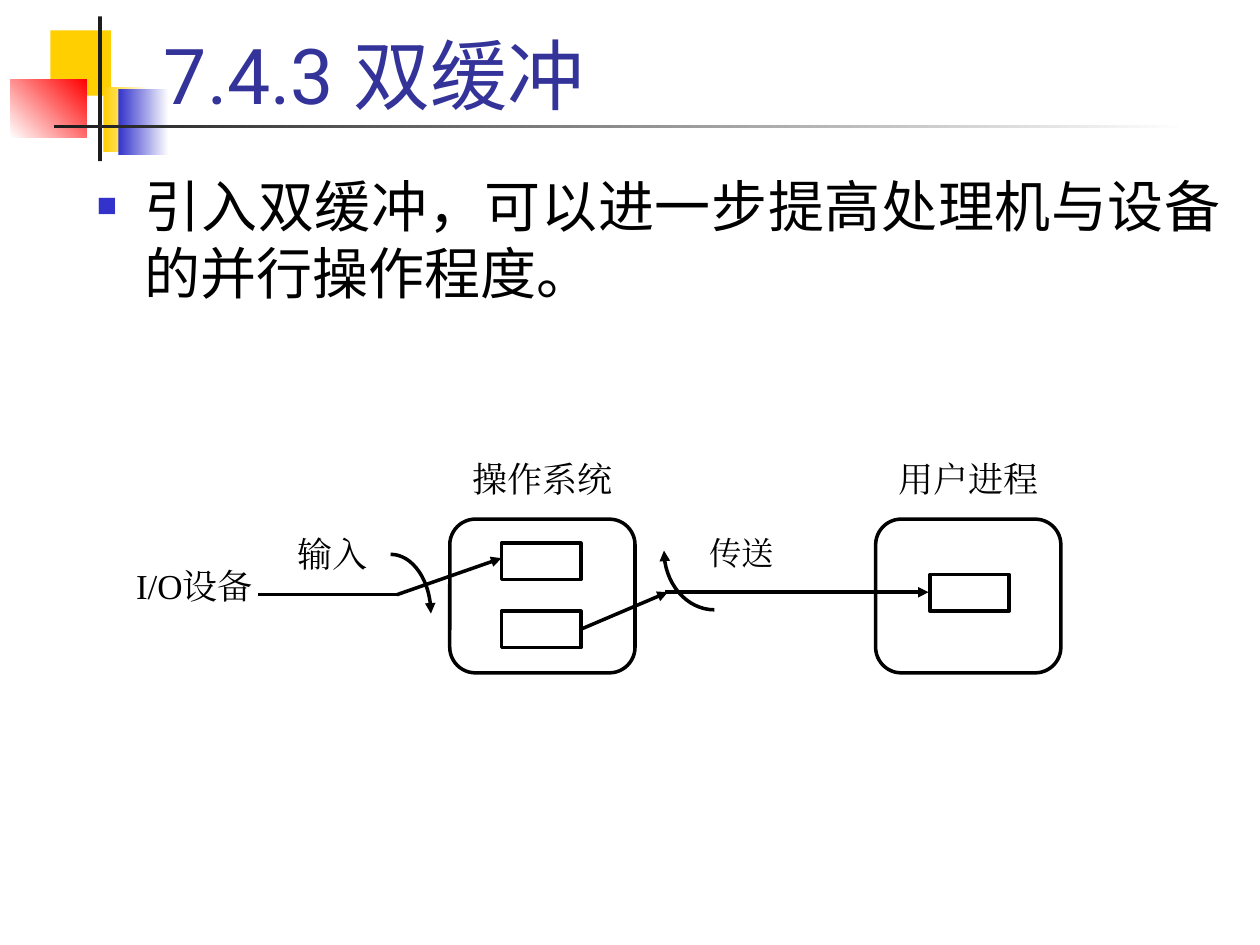
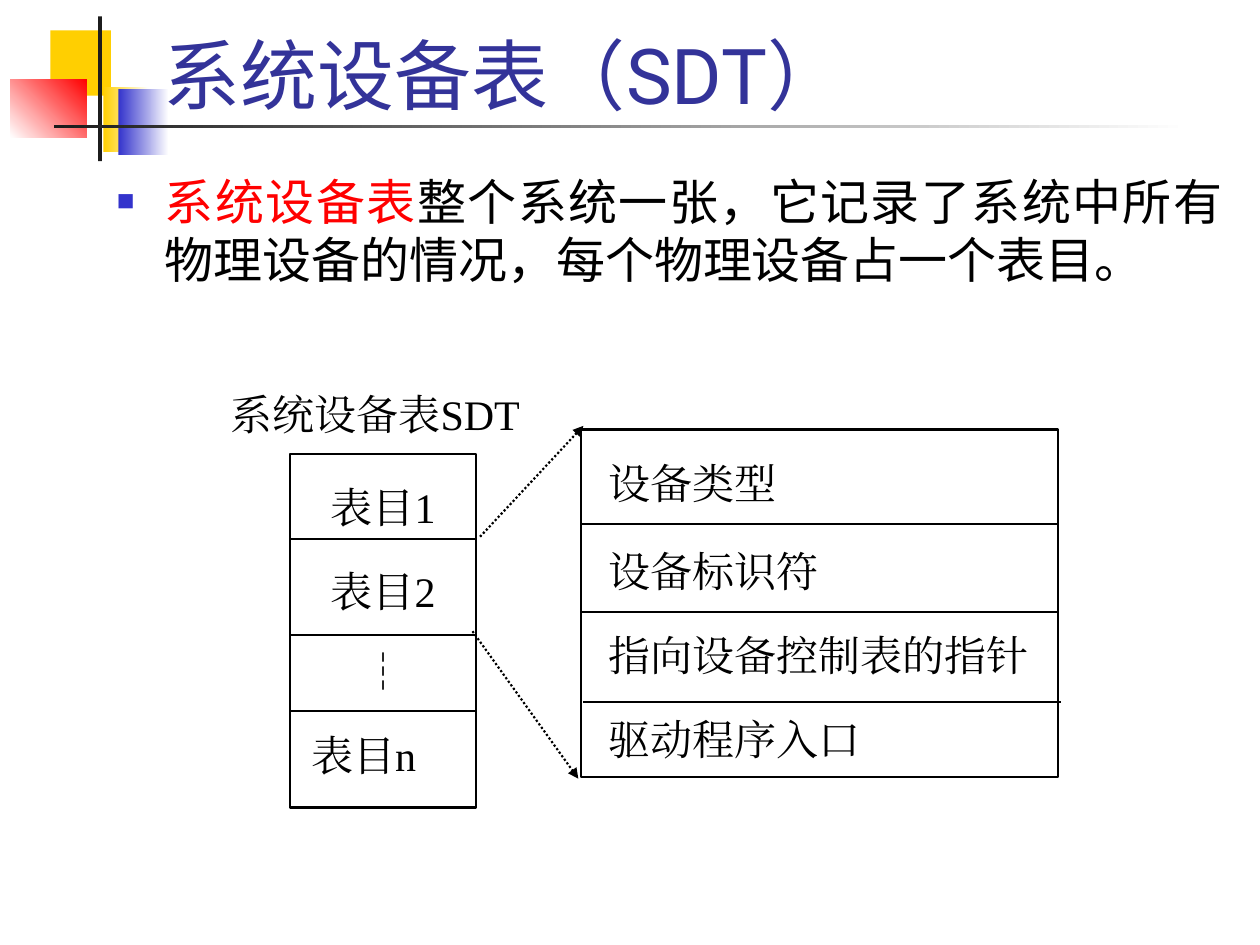
import math

import pptx
import pptx.dml.color
import pptx.enum.dml
import pptx.enum.shapes
import pptx.enum.text
import pptx.oxml.ns
import pptx.util
from lxml import etree

COLOURS = {
    "ink": "000000", "paper": "FFFFFF", "title": "333399", "bullet": "3333CC",
    "key": "FF0000", "gold": "FFCF01", "rule": "1C1C1C",
}
SANS, SERIF, CJK = "Roboto", "Times New Roman", "Noto Sans CJK SC"
WIDTH, HEIGHT = pptx.util.Inches(10), pptx.util.Inches(7.5)
COLUMNS, ROWS = 100, 75
LEADING = 1.2
SHAPES = pptx.enum.shapes.MSO_SHAPE
ALIGN = pptx.enum.text.PP_ALIGN
ANCHOR = pptx.enum.text.MSO_ANCHOR


def col(n):
    return pptx.util.Emu(round(WIDTH * n / COLUMNS))


def row(n):
    return pptx.util.Emu(round(HEIGHT * n / ROWS))


def place(left, top, width, height):
    return col(left), row(top), col(width), row(height)


def rgb(name):
    return pptx.dml.color.RGBColor.from_string(COLOURS[name])


def add_xml(parent, tag, **attributes):
    return etree.SubElement(parent, pptx.oxml.ns.qn(tag), attributes)


def add_run(paragraph, words, size, font, colour="ink"):
    run = paragraph.add_run()
    run.text = words
    run.font.size = pptx.util.Pt(size)
    run.font.name = font
    run.font.color.rgb = rgb(colour)
    add_xml(run.font._element, "a:ea", typeface=font)


def set_frame(frame, insets, anchor=ANCHOR.TOP):
    left, top, right, bottom = insets
    frame.margin_left, frame.margin_right = col(left), col(right)
    frame.margin_top, frame.margin_bottom = row(top), row(bottom)
    frame.word_wrap = True
    frame.auto_size = pptx.enum.text.MSO_AUTO_SIZE.NONE
    frame.vertical_anchor = anchor


def stroke(line, points, arrow=False, dotted=False):
    line.color.rgb = rgb("ink")
    line.width = pptx.util.Pt(points)
    if dotted:
        line.dash_style = pptx.enum.dml.MSO_LINE.ROUND_DOT
    if arrow:
        add_xml(line._get_or_add_ln(), "a:tailEnd", type="triangle")


def add_box(slide, area, points, kind=SHAPES.RECTANGLE):
    box = slide.shapes.add_shape(kind, *place(*area))
    box.shadow.inherit = False
    box.fill.solid()
    box.fill.fore_color.rgb = rgb("paper")
    stroke(box.line, points)
    return box


def add_line(slide, start, end, points, arrow=False, dotted=False):
    line = slide.shapes.add_connector(
        pptx.enum.shapes.MSO_CONNECTOR.STRAIGHT,
        col(start[0]), row(start[1]), col(end[0]), row(end[1]))
    stroke(line.line, points, arrow, dotted)
    add_xml(line._element.spPr, "a:effectLst")


def add_swing(slide, centre, radii, start_angle, steps=16):
    points = []
    for step in range(steps + 1):
        angle = math.radians(start_angle + 90 * step / steps)
        points.append((col(centre[0] + radii[0] * math.cos(angle)),
                       row(centre[1] + radii[1] * math.sin(angle))))
    builder = slide.shapes.build_freeform(*points[0])
    builder.add_line_segments(points[1:], close=False)
    swing = builder.convert_to_shape()
    swing.shadow.inherit = False
    swing.fill.background()
    stroke(swing.line, 2, arrow=True)


def add_label(slide, area, words, size, insets=(0, 0.5, 0, 0.5)):
    frame = slide.shapes.add_textbox(*place(*area)).text_frame
    set_frame(frame, insets)
    add_run(frame.paragraphs[0], words, size, SERIF)


def add_point(slide, area, size, pieces):
    frame = slide.shapes.add_textbox(*place(*area)).text_frame
    set_frame(frame, (1, 0.5, 1, 0.5))
    paragraph = frame.paragraphs[0]
    paragraph.alignment = ALIGN.JUSTIFY
    paragraph.line_spacing = pptx.util.Pt(size * LEADING)
    properties = paragraph._p.get_or_add_pPr()
    properties.set("marL", str(col(3.8)))
    properties.set("indent", str(-col(3.8)))
    add_xml(add_xml(properties, "a:buClr"), "a:srgbClr", val=COLOURS["bullet"])
    add_xml(properties, "a:buSzPct", val="60000")
    add_xml(properties, "a:buFont", typeface=SERIF)
    add_xml(properties, "a:buChar", char="■")
    for words, colour in pieces:
        add_run(paragraph, words, size, SANS, colour)


def fill_entries(box, entries, gaps, insets, alignment):
    frame = box.text_frame
    set_frame(frame, insets)
    for index, words in enumerate(entries):
        paragraph = frame.add_paragraph() if index else frame.paragraphs[0]
        paragraph.alignment = alignment
        paragraph.line_spacing = pptx.util.Pt(24 * LEADING)
        if index:
            paragraph.space_before = pptx.util.Pt(gaps[index - 1] * LEADING)
        add_run(paragraph, words, 24, CJK if words == "┆" else SERIF)


def add_emblem(slide):
    blocks = [
        ((4, 2.4, 4.8, 5.2), ["gold"], 0),
        ((8.2, 6.9, 3.6, 5.2), ["gold", "paper"], 0),
        ((9.4, 7.1, 4, 5.2), ["bullet", "paper"], 0),
        ((0.8, 6.3, 6.1, 4.6), ["paper", "key"], 45),
        ((7.8, 1.3, 0.3, 11.5), ["rule"], 0),
        ((4.3, 9.9, 90, 0.3), ["rule", "paper"], 0),
    ]
    for area, colours, angle in blocks:
        block = slide.shapes.add_shape(SHAPES.RECTANGLE, *place(*area))
        block.shadow.inherit = False
        block.line.fill.background()
        if len(colours) == 1:
            block.fill.solid()
            block.fill.fore_color.rgb = rgb(colours[0])
        else:
            block.fill.gradient()
            block.fill.gradient_angle = angle
            for stop, colour in zip(block.fill.gradient_stops, colours):
                stop.color.rgb = rgb(colour)
        slide.slide_layout.shapes._spTree.append(block._element)


def add_titled_slide(deck, heading):
    slide = deck.slides.add_slide(deck.slide_layouts[5])
    title = slide.shapes.title
    title.left, title.top, title.width, title.height = place(12, 1.7, 85.2, 8.3)
    set_frame(title.text_frame, (1, 0.5, 1, 0.5), ANCHOR.BOTTOM)
    paragraph = title.text_frame.paragraphs[0]
    paragraph.alignment = ALIGN.LEFT
    add_run(paragraph, heading, 44, SANS, "title")
    return slide


def draw_double_buffer(slide):
    add_point(slide, (6.7, 13.1, 91.2, 12.1), 32,
              [("引入双缓冲，可以进一步提高处理机与设备的并行操作程度。", "ink")])
    for left in (35.7, 69.5):
        add_box(slide, (left, 41.2, 14.7, 12.2), 2, SHAPES.ROUNDED_RECTANGLE)
    for left, top in ((39.8, 43.1), (39.8, 48.5), (73.8, 45.6)):
        add_box(slide, (left, top, 6.3, 2.9), 2)
    for area, words, size in [
        ((37.5, 35.8, 11.5, 4.5), "操作系统", 20),
        ((71.3, 35.8, 11.5, 4.5), "用户进程", 20),
        ((10.8, 44.3, 10.4, 4.4), "I/O设备", 20),
        ((23.6, 41.8, 7.7, 4.4), "输入", 20),
        ((56.3, 41.8, 7.8, 4.2), "传送", 18.5),
    ]:
        add_label(slide, area, words, size)
    add_line(slide, (20.5, 47.2), (31.7, 47.2), 2)
    for start, end in [((31.5, 47.2), (39.8, 44.3)),
                       ((46.2, 49.9), (53, 47)),
                       ((52.8, 47), (73.7, 47))]:
        add_line(slide, start, end, 2, arrow=True)
    add_swing(slide, (31, 48.7), (3.2, 4.7), 270)
    add_swing(slide, (56.7, 43.7), (4, 4.7), 90)


def draw_device_table(slide):
    add_point(slide, (8.3, 13.1, 89.7, 10.4), 28,
              [("系统设备表", "key"),
               ("整个系统一张，它记录了系统中所有物理设备的情况，每个物理设备占一个表目。", "ink")])
    add_label(slide, (18.3, 30.8, 27, 4.2), "系统设备表SDT", 24, (0, 0, 0, 0))

    table = add_box(slide, (23, 36, 14.8, 28.1), 1.25)
    fill_entries(table, ["表目1", "表目2", "┆", "表目n"], [16, 14, 16],
                 (0.2, 2.2, 0.2, 0.1), ALIGN.CENTER)
    last_entry = table.text_frame.paragraphs[-1]
    last_entry.alignment = ALIGN.LEFT
    last_entry._p.get_or_add_pPr().set("marL", str(col(1.5)))
    for level in (42.8, 50.4, 56.4):
        add_line(slide, (23, level), (37.8, level), 1.25)

    for start, end in [((38.1, 42.6), (46.3, 33.8)), ((37.5, 50.1), (45.9, 61.8))]:
        add_line(slide, start, end, 1.25, arrow=True, dotted=True)

    fields = add_box(slide, (46.1, 34.1, 37.9, 27.6), 1.25)
    fill_entries(fields, ["设备类型", "设备标识符", "指向设备控制表的指针", "驱动程序入口"],
                 [18, 16, 16], (2.2, 2.2, 0, 0), ALIGN.LEFT)
    for left, level in ((46.1, 41.6), (46.1, 48.6), (46.3, 55.7)):
        add_line(slide, (left, level), (left + 37.9, level), 1.25)


def main():
    deck = pptx.Presentation()
    deck.slide_width, deck.slide_height = WIDTH, HEIGHT
    buffering = add_titled_slide(deck, "7.4.3 双缓冲")
    add_emblem(buffering)
    draw_double_buffer(buffering)
    draw_device_table(add_titled_slide(deck, "系统设备表（SDT）"))
    deck.save("out.pptx")


if __name__ == "__main__":
    main()
